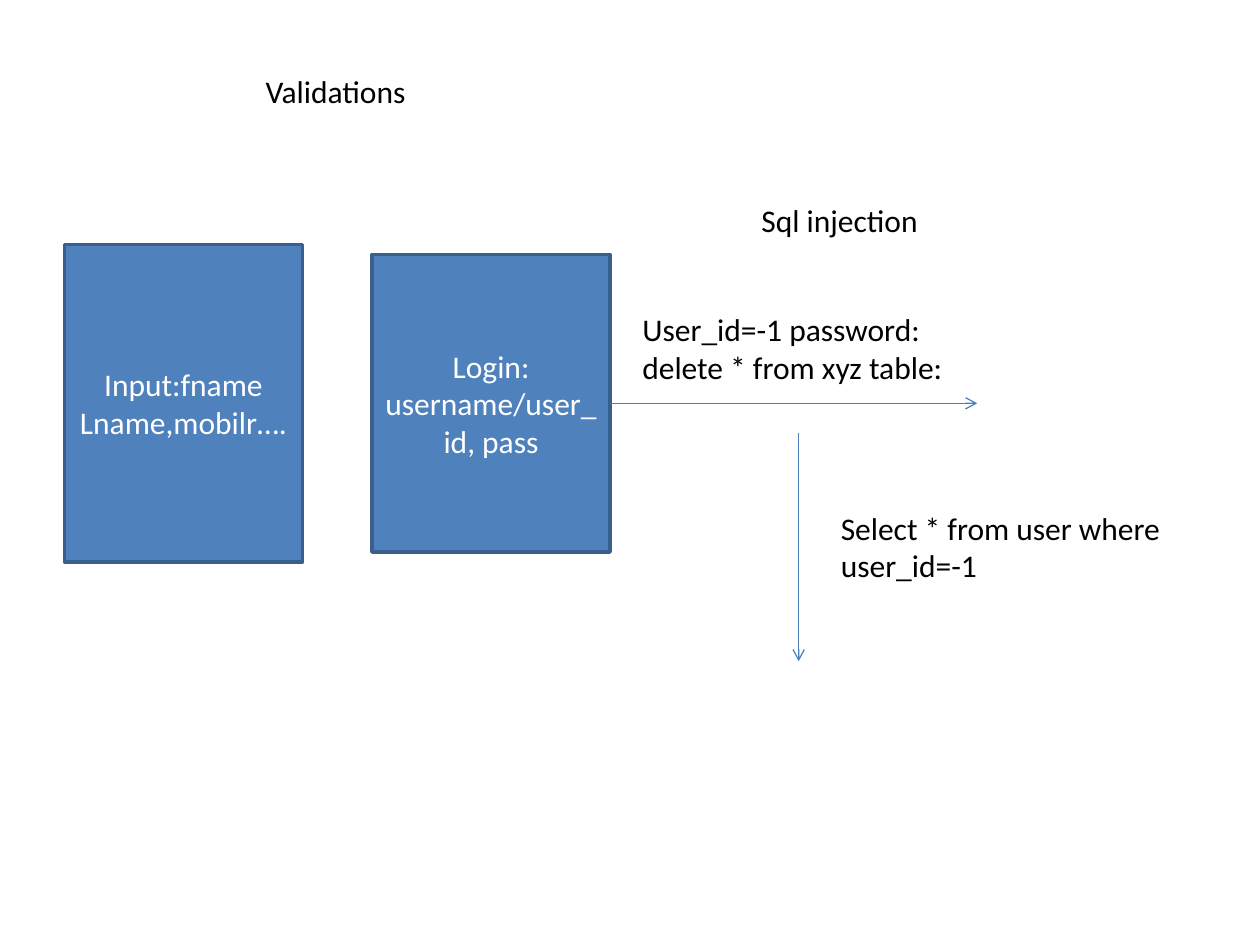
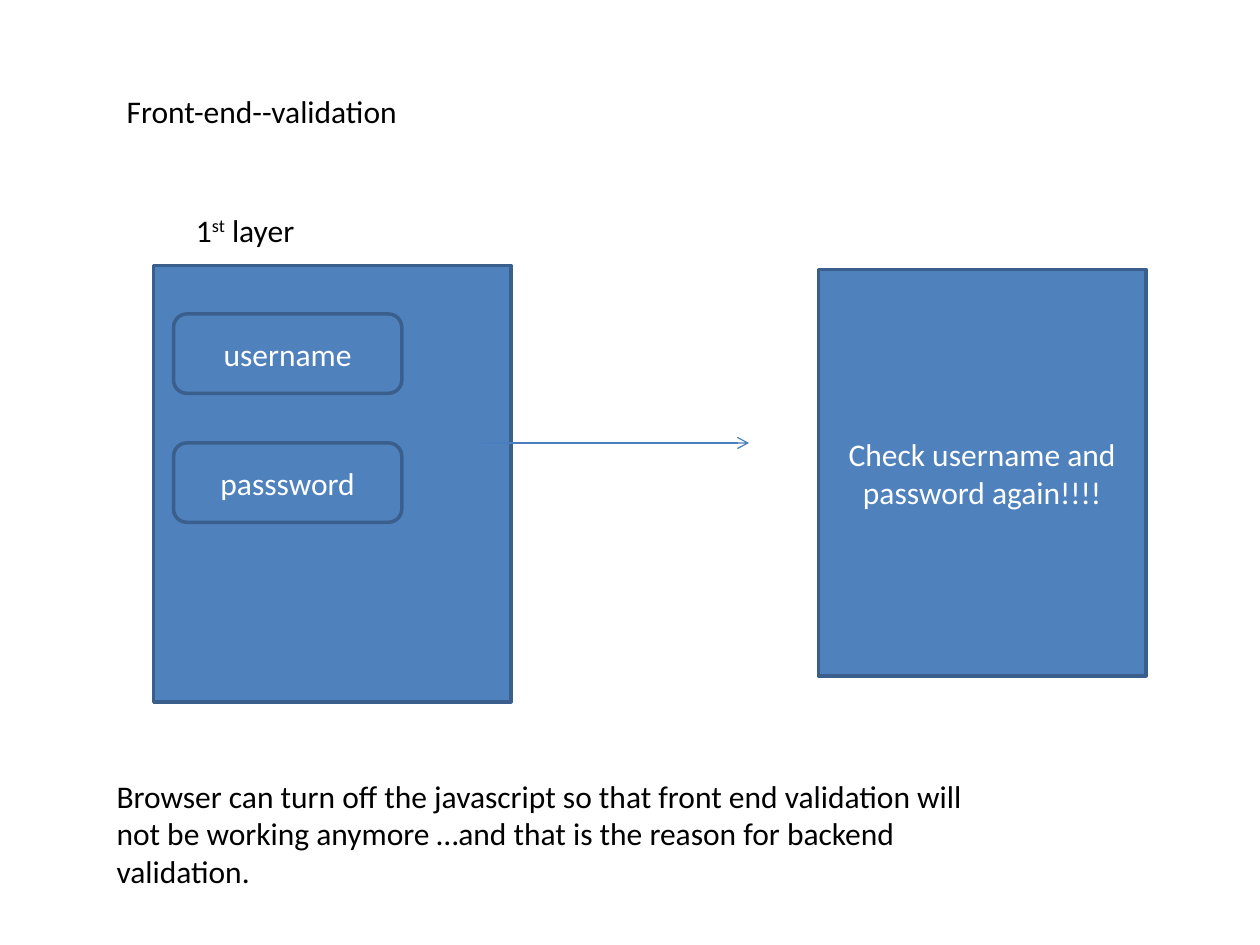
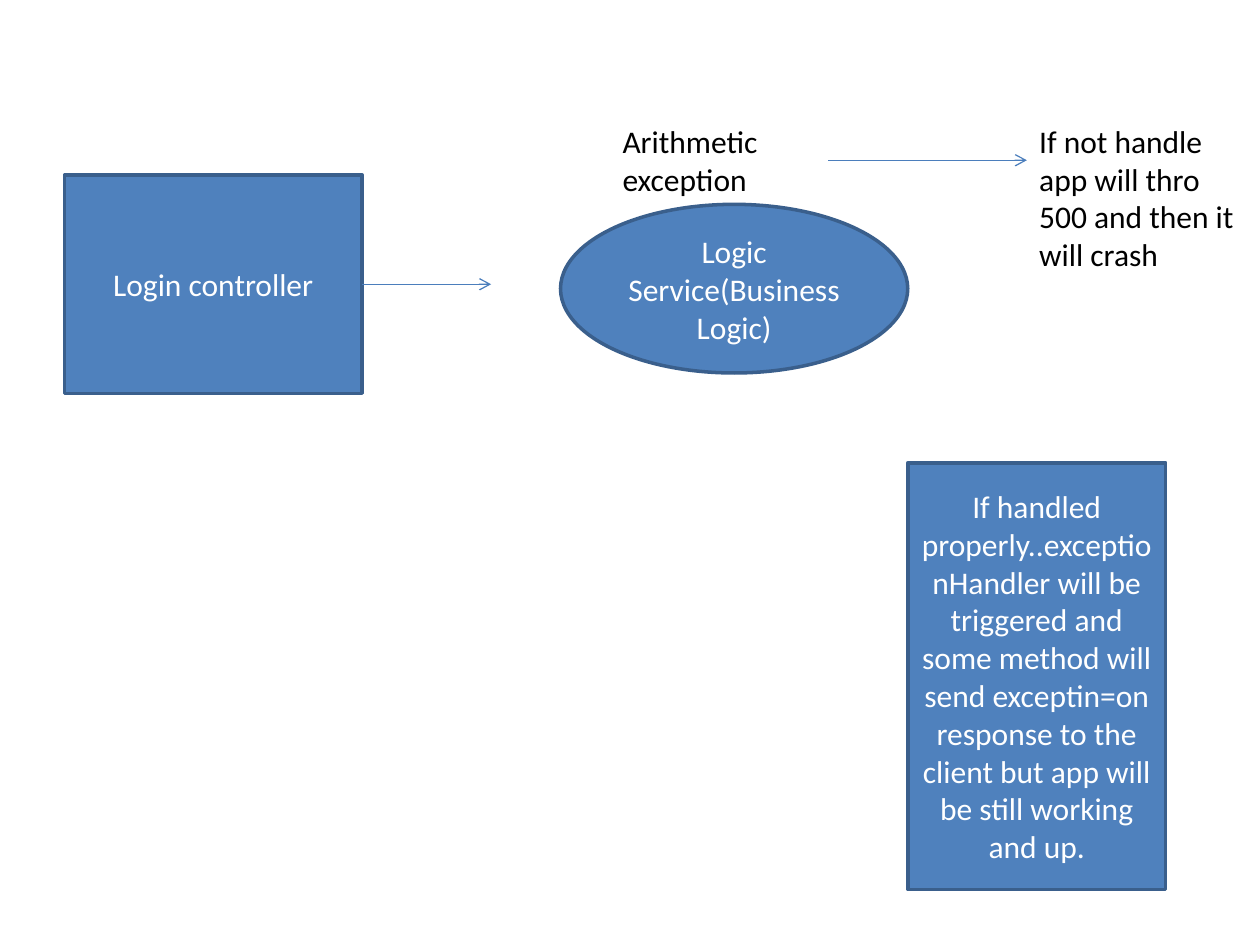
from lxml import etree
from pptx import Presentation
from pptx import util as u
from pptx.dml.color import RGBColor
from pptx.enum import shapes, text
from pptx.oxml.ns import qn

COLOURS = {"fill": "4F81BD", "outline": "3A5F8C", "arrow": "4B7EBC",
           "label": "000000", "box_text": "FFFFFF"}
FONT, SIZE = "Calibri", 18
TITLE_ONLY, BLANK = 5, 6

BOXES = {"rect": shapes.MSO_SHAPE.RECTANGLE,
         "round": shapes.MSO_SHAPE.ROUNDED_RECTANGLE,
         "ellipse": shapes.MSO_SHAPE.OVAL}

FIELDS = ["username", "passsword"]
FIELD_TOP, FIELD_STEP = 6.33, 2.6

# Parts run from back to front, with lengths in centimetres.
# Boxes, titles and labels: (kind, text, (left, top, width, height)); ^…^ is superscript.
# Arrows: ("arrow", start, (across, down)); start None joins the box just before.
SLIDES = [
    [
        ("title", "Validations", (5.1, 1.32, 13.2, 1.02)),
        ("rect", "Input:fname\nLname,mobilr….", (1.3, 4.93, 4.8, 6.4)),
        ("rect", "Login: username/user_id, pass", (7.5, 5.13, 4.8, 6)),
        ("arrow", None, (7.4, 0)),
        ("label", "User_id=-1 password: delete * from xyz table:", (12.7, 6.12, 6.8, 1.8)),
        ("arrow", (16.1, 8.73), (0, 4.6)),
        ("label", "Select * from user where user_id=-1", (16.7, 10.13, 7.4, 1.8)),
        ("label", "Sql injection", (15.1, 3.93, 7, 1.02)),
    ],
    [
        ("title", "Front-end--validation", (2.3, 1.73, 8.8, 1.02)),
        ("rect", "", (3.1, 5.35, 7.2, 8.8)),
        *[("round", field, (3.5, FIELD_TOP + row * FIELD_STEP, 4.6, 1.6))
          for row, field in enumerate(FIELDS)],
        ("label", "1^st^ layer", (3.7, 4.12, 4.8, 1.02)),
        ("arrow", (9.7, 8.93), (5.4, 0)),
        ("rect", "Check username and password again!!!!", (16.5, 5.43, 6.6, 8.2)),
        ("label", "Browser can turn off the javascript so that front end validation will "
                  "not be working anymore …and that is the reason for backend validation.",
         (2.1, 15.53, 18.2, 2.56)),
    ],
    [
        ("rect", "Login controller", (1.3, 3.53, 6, 4.4)),
        ("arrow", None, (2.6, 0)),
        ("ellipse", "Logic Service(Business Logic)", (11.3, 4.12, 7, 3.4)),
        ("label", "Arithmetic exception", (12.3, 2.33, 4, 1.8)),
        ("arrow", (16.7, 3.23), (4, 0)),
        ("label", "If not handle app will thro 500 and then it will crash",
         (20.7, 2.33, 4.7, 3.32)),
        ("rect", "If handled properly..exceptionHandler will be triggered and some method "
                 "will send exceptin=on response to the client but app will be still "
                 "working and up.", (18.3, 9.33, 5.2, 8.6)),
    ],
]


def colour(name):
    return RGBColor.from_string(COLOURS[name])


def write(frame, words, ink, align, anchor):
    frame.word_wrap = True
    frame.auto_size = text.MSO_AUTO_SIZE.NONE
    frame.vertical_anchor = anchor
    for index, line in enumerate(words.split("\n")):
        paragraph = frame.add_paragraph() if index else frame.paragraphs[0]
        paragraph.alignment = align
        paragraph.font.name = FONT
        paragraph.font.size = u.Pt(SIZE)
        paragraph.font.color.rgb = colour(ink)
        for position, piece in enumerate(line.split("^")):
            run = paragraph.add_run()
            run.text = piece
            if position % 2:
                run._r.get_or_add_rPr().set("baseline", "30000")


def add_label(slide, words, place):
    label = slide.shapes.add_textbox(*map(u.Cm, place))
    write(label.text_frame, words, "label", text.PP_ALIGN.LEFT, text.MSO_ANCHOR.TOP)


def add_title(slide, words, place):
    title = slide.shapes.title
    title.left, title.top, title.width, title.height = map(u.Cm, place)
    write(title.text_frame, words, "label", text.PP_ALIGN.LEFT, text.MSO_ANCHOR.TOP)


def add_box(slide, kind, words, place):
    box = slide.shapes.add_shape(BOXES[kind], *map(u.Cm, place))
    box.shadow.inherit = False
    box.fill.solid()
    box.fill.fore_color.rgb = colour("fill")
    box.line.color.rgb = colour("outline")
    box.line.width = u.Pt(2)
    if words:
        write(box.text_frame, words, "box_text", text.PP_ALIGN.CENTER, text.MSO_ANCHOR.MIDDLE)
    return box


def add_arrow(slide, start, reach, source):
    if start:
        x, y = map(u.Cm, start)
    else:
        x, y = source.left + source.width, source.top + source.height // 2
    across, down = map(u.Cm, reach)
    arrow = slide.shapes.add_connector(shapes.MSO_CONNECTOR.STRAIGHT,
                                       x, y, x + across, y + down)
    if not start:
        arrow.begin_connect(source, 3)
    arrow.line.color.rgb = colour("arrow")
    arrow.line.width = u.Pt(0.75)
    etree.SubElement(arrow.line._get_or_add_ln(), qn("a:tailEnd"), type="arrow")
    etree.SubElement(arrow.element.spPr, qn("a:effectLst"))


def main():
    deck = Presentation()
    deck.slide_width, deck.slide_height = u.Cm(25.4), u.Cm(19.05)
    for parts in SLIDES:
        titled = any(kind == "title" for kind, *_ in parts)
        slide = deck.slides.add_slide(deck.slide_layouts[TITLE_ONLY if titled else BLANK])
        box = None
        for kind, content, place in parts:
            if kind == "title":
                add_title(slide, content, place)
            elif kind == "label":
                add_label(slide, content, place)
            elif kind == "arrow":
                add_arrow(slide, content, place, box)
            else:
                box = add_box(slide, kind, content, place)
    deck.save("out.pptx")


if __name__ == "__main__":
    main()
